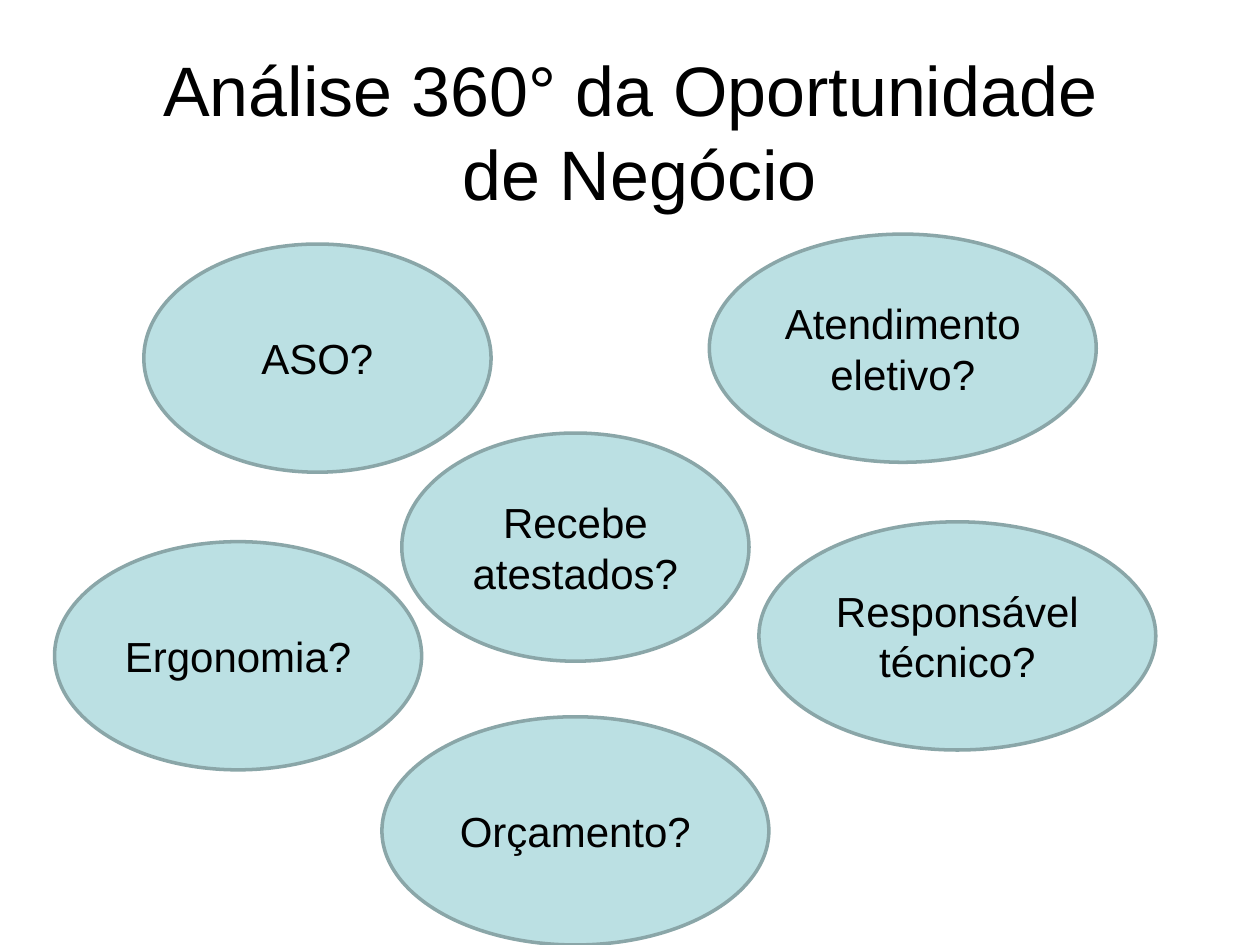
"""Build the slide of questions around a business opportunity."""
from dataclasses import dataclass

from pptx import Presentation
from pptx.dml.color import RGBColor
from pptx.enum.shapes import MSO_SHAPE as Shape
from pptx.enum.text import MSO_ANCHOR as Anchor, PP_ALIGN as Align
from pptx.util import Cm, Pt


@dataclass(frozen=True)
class Theme:
    font: str = "Arial"
    text: RGBColor = RGBColor.from_string("000000")
    fill: RGBColor = RGBColor.from_string("BBE0E3")
    outline: RGBColor = RGBColor.from_string("8AA6A8")
    outline_width: int = Pt(2)
    title_size: int = Pt(40)
    question_size: int = Pt(24)


theme = Theme()


def write_text(shape, text, *, size, color=theme.text, align=Align.CENTER):
    frame = shape.text_frame
    frame.word_wrap = True
    frame.vertical_anchor = Anchor.MIDDLE
    paragraph = frame.paragraphs[0]
    paragraph.text = text
    paragraph.alignment = align
    for run in paragraph.runs:
        run.font.name = theme.font
        run.font.size = size
        run.font.color.rgb = color


presentation = Presentation()
presentation.slide_width = Cm(25.4)
presentation.slide_height = Cm(19.05)
slide = presentation.slides.add_slide(presentation.slide_layouts[6])

title = slide.shapes.add_textbox(Cm(1.27), Cm(0.76), Cm(22.86), Cm(3.76))
write_text(title, "Análise 360° da Oportunidade\n de Negócio", size=theme.title_size)

ellipse_height = Cm(4.6)
questions = [
    ("ASO?", 2.9, 4.92, 7),
    ("Atendimento eletivo?", 14.3, 4.72, 7.8),
    ("Orçamento?", 7.7, 14.45, 7.8),
    ("Ergonomia?", 1.1, 10.92, 7.4),
    ("Responsável técnico?", 15.3, 10.52, 8),
    ("Recebe atestados?", 8.1, 8.73, 7),
]
for question, left, top, width in questions:
    ellipse = slide.shapes.add_shape(
        Shape.OVAL, Cm(left), Cm(top), Cm(width), ellipse_height
    )
    ellipse.shadow.inherit = False
    ellipse.fill.solid()
    ellipse.fill.fore_color.rgb = theme.fill
    ellipse.line.color.rgb = theme.outline
    ellipse.line.width = theme.outline_width
    write_text(ellipse, question, size=theme.question_size)

presentation.save("out.pptx")
